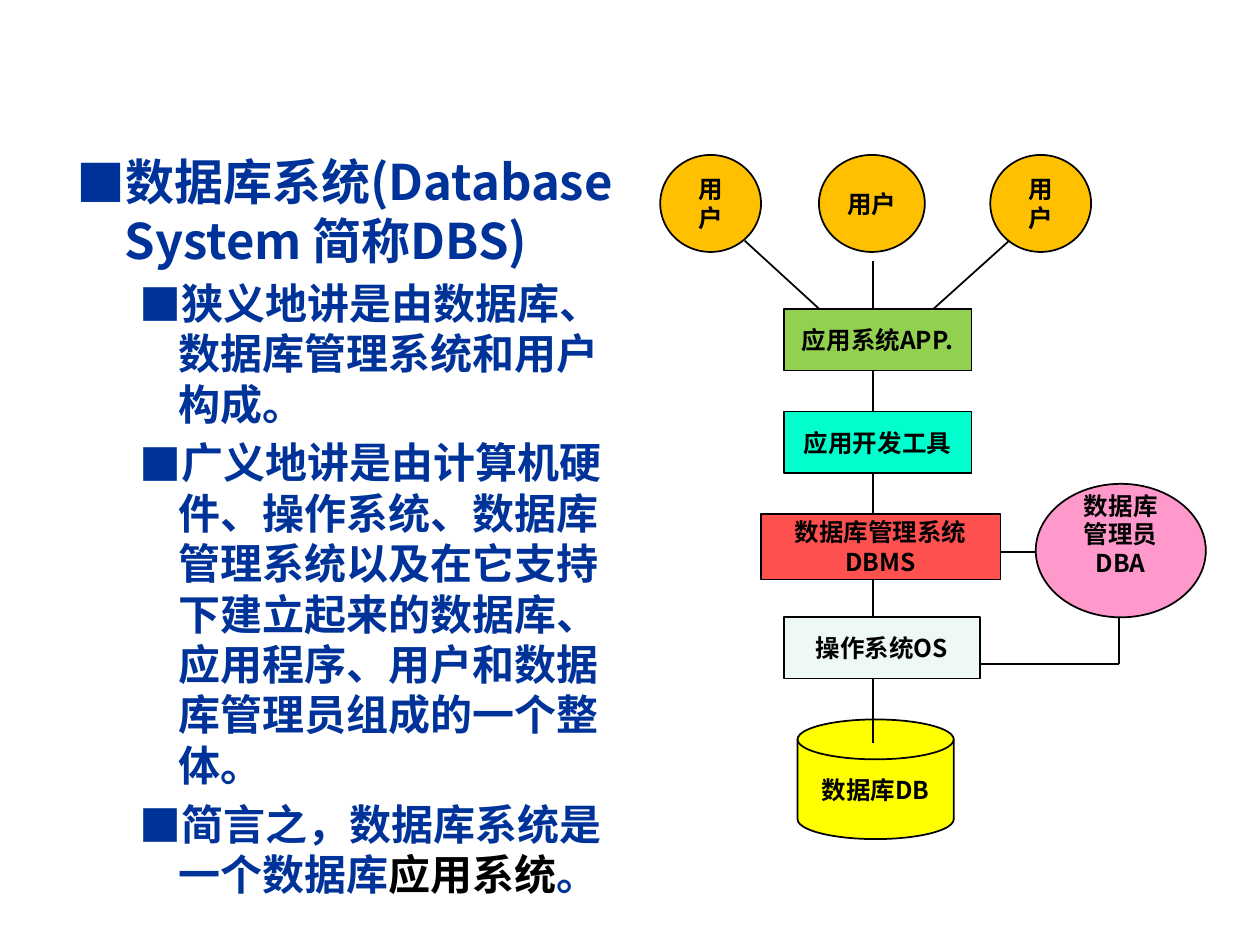
"""Build a slide that defines a database system beside a diagram of its layers."""
from lxml.etree import SubElement
from pptx import Presentation
from pptx.dml.color import RGBColor
from pptx.enum.shapes import MSO_CONNECTOR, MSO_SHAPE
from pptx.enum.text import MSO_ANCHOR, MSO_AUTO_SIZE, PP_ALIGN
from pptx.oxml.ns import qn
from pptx.util import Inches, Pt

SANS, SERIF = "Noto Sans CJK SC", "Times New Roman"
BLACK = RGBColor(0x00, 0x00, 0x00)
NAVY = RGBColor(0x00, 0x33, 0x99)
ORANGE = RGBColor(0xFF, 0xC0, 0x00)
GREEN = RGBColor(0x92, 0xD0, 0x50)
TEAL = RGBColor(0x00, 0xFF, 0xCC)
RED = RGBColor(0xFF, 0x50, 0x50)
MINT = RGBColor(0xEE, 0xF9, 0xF4)
YELLOW = RGBColor(0xFF, 0xFF, 0x00)
PINK = RGBColor(0xFF, 0x99, 0xCC)

BULLETS = [
    (0, [("数据库系统(Database System 简称DBS)", SANS, NAVY)]),
    (1, [("狭义地讲是由数据库、数据库管理系统和用户构成。", SERIF, NAVY)]),
    (1, [("广义地讲是由计算机硬件、操作系统、数据库管理系统以及在它支持下建立起来的"
          "数据库、应用程序、用户和数据库管理员组成的一个整体。", SERIF, NAVY)]),
    (1, [("简言之，数据库系统是一个数据库", SERIF, NAVY),
         ("应用系统", SANS, BLACK), ("。", SERIF, NAVY)]),
]
LEVELS = [(28, 0.38, 0.38), (24, 0.81, 0.31)]

PROCESS, DISK = MSO_SHAPE.FLOWCHART_PROCESS, MSO_SHAPE.FLOWCHART_MAGNETIC_DISK
LAYERS = [
    ("应用系统APP.", PROCESS, GREEN, 6.22, 1.49, 0.49),
    ("应用开发工具", PROCESS, TEAL, 6.22, 1.49, 0.49),
    ("数据库管理系统DBMS", PROCESS, RED, 6.04, 1.9, 0.52),
    ("操作系统OS", PROCESS, MINT, 6.22, 1.56, 0.49),
    ("数据库DB", DISK, YELLOW, 6.33, 1.24, 0.95),
]
LAYER_TOP, LAYER_STEP, SPINE_X, DISK_DEPTH = 2.45, 0.815, 6.93, 0.19
USERS = [(5.24, 0.8), (6.5, 0.84), (7.86, 0.8)]
USER_LINKS = [(5.91, 1.91, 6.5), (SPINE_X, 2.07, SPINE_X), (8.01, 1.91, 7.41)]
ADMIN_LINKS = [(7.94, 4.38, 8.22, 4.38), (7.78, 5.27, 8.88, 5.27), (8.88, 4.9, 8.88, 5.27)]


def add_span(para, text, size=14, font=SANS, color=BLACK):
    span = para.add_run()
    span.text = text
    span.font.size = Pt(size)
    span.font.bold = True
    span.font.name = font
    span.font.color.rgb = color
    SubElement(span.font._element, qn("a:ea"), typeface=SANS)


def add_node(page, text, kind, fill, left, top, width, height, bottom_inset=0.05, spacing=1.0):
    node = page.shapes.add_shape(kind, Inches(left), Inches(top), Inches(width), Inches(height))
    node.shadow.inherit = False
    node.fill.solid()
    node.fill.fore_color.rgb = fill
    node.line.color.rgb = BLACK
    node.line.width = Pt(1)
    frame = node.text_frame
    frame.word_wrap = True
    frame.vertical_anchor = MSO_ANCHOR.MIDDLE
    frame.margin_bottom = Inches(bottom_inset)
    para = frame.paragraphs[0]
    para.alignment = PP_ALIGN.CENTER
    para.line_spacing = spacing
    add_span(para, text)


def add_link(page, *ends):
    link = page.shapes.add_connector(MSO_CONNECTOR.STRAIGHT, *map(Inches, ends))
    link.line.color.rgb = BLACK
    link.line.width = Pt(1)
    SubElement(link._element.spPr, qn("a:effectLst"))


def fill_body(body):
    body.left, body.top, body.width, body.height = map(Inches, (0.51, 1.15, 4.65, 6.06))
    frame = body.text_frame
    frame.word_wrap = True
    frame.auto_size = MSO_AUTO_SIZE.NONE
    for index, (level, spans) in enumerate(BULLETS):
        para = frame.add_paragraph() if index else frame.paragraphs[0]
        size, margin, hanging = LEVELS[level]
        para.level = level
        para.space_before = Pt(size * 0.2 if index else 0)
        props = para._p.get_or_add_pPr()
        props.set("marL", str(Inches(margin)))
        props.set("indent", str(-Inches(hanging)))
        SubElement(props, qn("a:buFont"), typeface=SANS)
        SubElement(props, qn("a:buChar"), char="■")
        for text, font, color in spans:
            add_span(para, text, size=size, font=font, color=color)


def main():
    deck = Presentation()
    deck.slide_width, deck.slide_height = Inches(10), Inches(7.5)
    page = deck.slides.add_slide(deck.slide_layouts[1])
    title = page.shapes.title._element
    title.getparent().remove(title)
    fill_body(page.placeholders[1])

    tops = [LAYER_TOP + LAYER_STEP * row for row in range(len(LAYERS))]
    for top, (text, kind, fill, left, width, height) in zip(tops, LAYERS):
        add_node(page, text, kind, fill, left, top, width, height)
    for left, width in USERS:
        add_node(page, "用户", MSO_SHAPE.OVAL, ORANGE, left, 1.23, width, 0.77)
    add_node(page, "数据库管理员DBA", MSO_SHAPE.OVAL, PINK, 8.22, 3.84, 1.35, 1.06,
             bottom_inset=0.29, spacing=0.96)

    for top, below, layer, target in zip(tops, tops[1:], LAYERS, LAYERS[1:]):
        end = below + (DISK_DEPTH if target[1] == DISK else 0)
        add_link(page, SPINE_X, top + layer[-1], SPINE_X, end)
    for start_x, start_y, end_x in USER_LINKS:
        add_link(page, start_x, start_y, end_x, LAYER_TOP)
    for ends in ADMIN_LINKS:
        add_link(page, *ends)
    deck.save("out.pptx")


if __name__ == "__main__":
    main()
